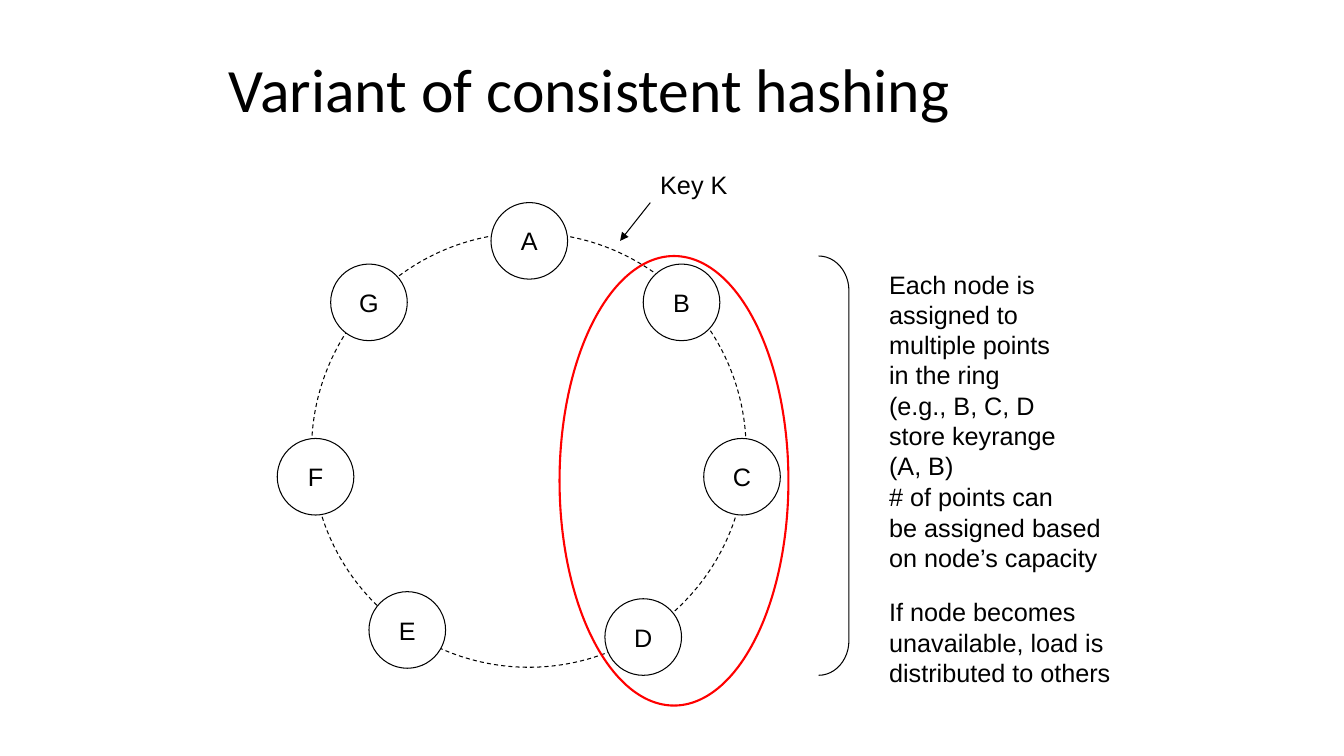
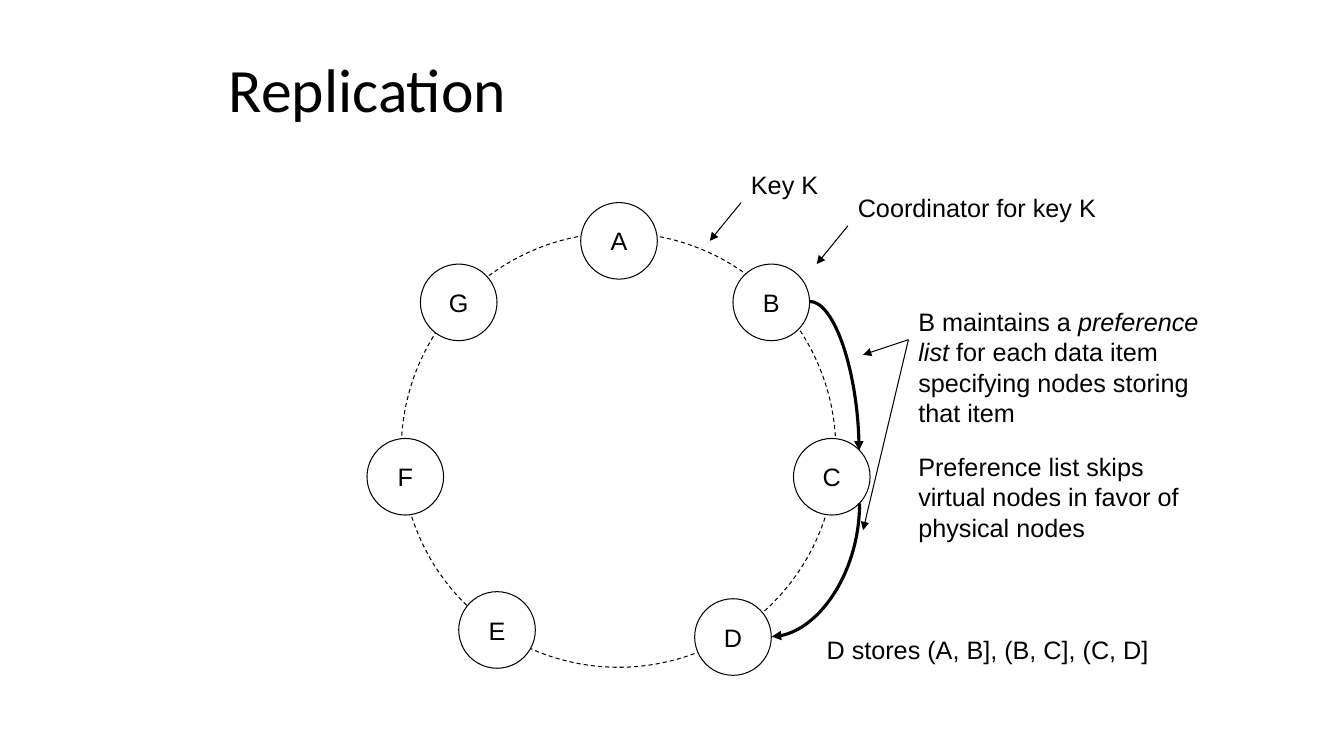
"""Build two slides on consistent hashing: the node ring and its replication."""
from dataclasses import dataclass

from lxml.etree import SubElement
from pptx import Presentation
from pptx.dml.color import RGBColor
from pptx.enum.dml import MSO_LINE_DASH_STYLE as Dash
from pptx.enum.shapes import MSO_CONNECTOR as Connector, MSO_SHAPE as Shape
from pptx.enum.text import MSO_ANCHOR as Anchor, MSO_AUTO_SIZE as AutoSize, PP_ALIGN as Align
from pptx.oxml.ns import qn
from pptx.util import Pt


@dataclass(frozen=True)
class Theme:
    ink: RGBColor = RGBColor(0, 0, 0)
    paper: RGBColor = RGBColor(255, 255, 255)
    accent: RGBColor = RGBColor(255, 0, 0)
    title_font: str = "Calibri"
    body_font: str = "Arial"
    title_size: int = 44
    body_size: int = 18
    thin: float = 0.75
    medium: float = 1.5
    thick: float = 2.25


THEME = Theme()
PX = 9144
NODE_SIZE = 76
RING = (309, 231, 431, 431)
TITLE_BOX = (217, 34, 900, 116)
NODES = {
    "A": (487, 201), "B": (638, 262), "C": (698, 435), "D": (600, 594),
    "E": (366, 587), "F": (275, 435), "G": (328, 262),
}
RIGHT, BOTTOM_RIGHT, TOP_RIGHT = 6, 5, 7

SLIDES = [
    {
        "title": "Variant of consistent hashing",
        "shift": 0,
        "marks": [
            (Shape.RIGHT_BRACKET, (812, 254, 30, 416), THEME.ink, THEME.thin),
            (Shape.OVAL, (555, 254, 227, 446), THEME.accent, THEME.medium),
        ],
        "arrows": [(645, 201, 615, 239)],
        "curves": [],
        "notes": [
            ((645, 163, 90, 39), [[("Key K", False)]]),
            ((872, 262, 190, 221), [
                [("Each node is\nassigned to\nmultiple points\nin the ring", False)],
                [("(e.g., B, C, D\nstore keyrange\n(A, B)", False)],
            ]),
            ((872, 473, 235, 100),
             [[("# of points can\nbe assigned based\non node’s capacity", False)]]),
            ((872, 587, 245, 100),
             [[("If node becomes\nunavailable, load is\ndistributed to others", False)]]),
        ],
    },
    {
        "title": "Replication",
        "shift": 89,
        "marks": [],
        "arrows": [
            (735, 201, 704, 239), (841, 224, 810, 262),
            (901, 337, 856, 352), (901, 337, 856, 526),
        ],
        "curves": [
            ("B", RIGHT, "C", TOP_RIGHT, (803, 299, 852, 447), 0),
            ("C", BOTTOM_RIGHT, "D", RIGHT, (743, 522, 875, 609), 90),
        ],
        "notes": [
            ((735, 163, 90, 39), [[("Key K", False)]]),
            ((841, 186, 260, 39), [[("Coordinator for key K", False)]]),
            ((810, 624, 345, 39), [[("D stores (A, B], (B, C], (C, D]", False)]]),
            ((901, 299, 303, 130), [[
                ("B maintains a ", False), ("preference\nlist ", True),
                ("for each data item\nspecifying nodes storing\nthat item", False),
            ]]),
            ((901, 443, 283, 100),
             [[("Preference list skips\nvirtual nodes in favor of\nphysical nodes", False)]]),
        ],
    },
]


def write(frame, paragraphs, align=Align.LEFT, font=THEME.body_font, size=THEME.body_size):
    for index, pieces in enumerate(paragraphs):
        para = frame.add_paragraph() if index else frame.paragraphs[0]
        para.alignment = align
        for text, italic in pieces:
            for row, line in enumerate(text.split("\n")):
                if row:
                    para.add_line_break()
                span = para.add_run()
                span.text = line
                span.font.name = font
                span.font.size = Pt(size)
                span.font.italic = italic
                span.font.color.rgb = THEME.ink


def outline(page, kind, box, color=THEME.ink, weight=THEME.thin):
    shape = page.shapes.add_shape(kind, *[value * PX for value in box])
    shape.shadow.inherit = False
    shape.fill.background()
    shape.line.color.rgb = color
    shape.line.width = Pt(weight)
    return shape


deck = Presentation()
deck.slide_width = 1333 * PX
deck.slide_height = 750 * PX

for content in SLIDES:
    page = deck.slides.add_slide(deck.slide_layouts[5])
    title = page.shapes.title
    title.left, title.top, title.width, title.height = [value * PX for value in TITLE_BOX]
    title.text_frame.vertical_anchor = Anchor.MIDDLE
    title.text_frame.auto_size = AutoSize.NONE
    write(title.text_frame, [[(content["title"], False)]],
          font=THEME.title_font, size=THEME.title_size)
    title.text_frame.paragraphs[0].line_spacing = 0.9

    shift = content["shift"]
    ring = outline(page, Shape.OVAL, (RING[0] + shift, *RING[1:]))
    ring.line.dash_style = Dash.DASH
    nodes = {}
    for name, (left, top) in NODES.items():
        node = outline(page, Shape.OVAL, (left + shift, top, NODE_SIZE, NODE_SIZE))
        node.fill.solid()
        node.fill.fore_color.rgb = THEME.paper
        node.text_frame.word_wrap = False
        node.text_frame.vertical_anchor = Anchor.MIDDLE
        write(node.text_frame, [[(name, False)]], Align.CENTER)
        nodes[name] = node

    for kind, box, color, weight in content["marks"]:
        mark = outline(page, kind, box, color, weight)
        if kind == Shape.RIGHT_BRACKET:
            mark.adjustments[0] = 1.15

    links = [(Connector.STRAIGHT, ends, THEME.thin, None) for ends in content["arrows"]]
    links += [(Connector.CURVE, curve[4], THEME.thick, curve) for curve in content["curves"]]
    for kind, ends, weight, curve in links:
        link = page.shapes.add_connector(kind, *[value * PX for value in ends])
        link.line.color.rgb = THEME.ink
        link.line.width = Pt(weight)
        properties = link.element.spPr
        SubElement(properties.find(qn("a:ln")), qn("a:tailEnd"), type="triangle")
        SubElement(properties, qn("a:effectLst"))
        if curve:
            source, source_site, target, target_site, _, turn = curve
            properties.find(qn("a:prstGeom")).set("prst", "curvedConnector2")
            properties.find(qn("a:xfrm")).set("rot", str(turn * 60000))
            joints = link.element.find(".//" + qn("p:cNvCxnSpPr"))
            for tag, name, site in (("a:stCxn", source, source_site),
                                    ("a:endCxn", target, target_site)):
                SubElement(joints, qn(tag), id=str(nodes[name].shape_id), idx=str(site))

    for box, paragraphs in content["notes"]:
        note = page.shapes.add_textbox(*[value * PX for value in box])
        note.text_frame.word_wrap = False
        note.text_frame.auto_size = AutoSize.SHAPE_TO_FIT_TEXT
        write(note.text_frame, paragraphs)

deck.save("out.pptx")
